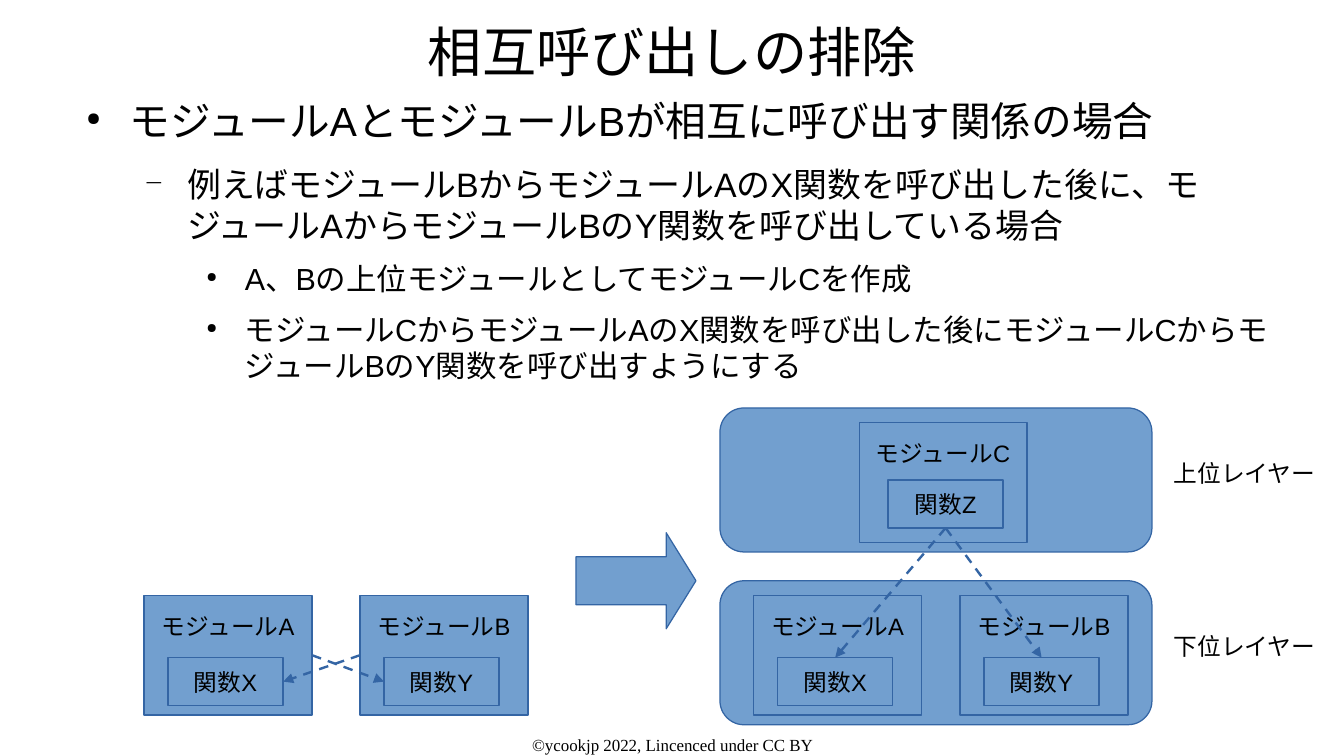
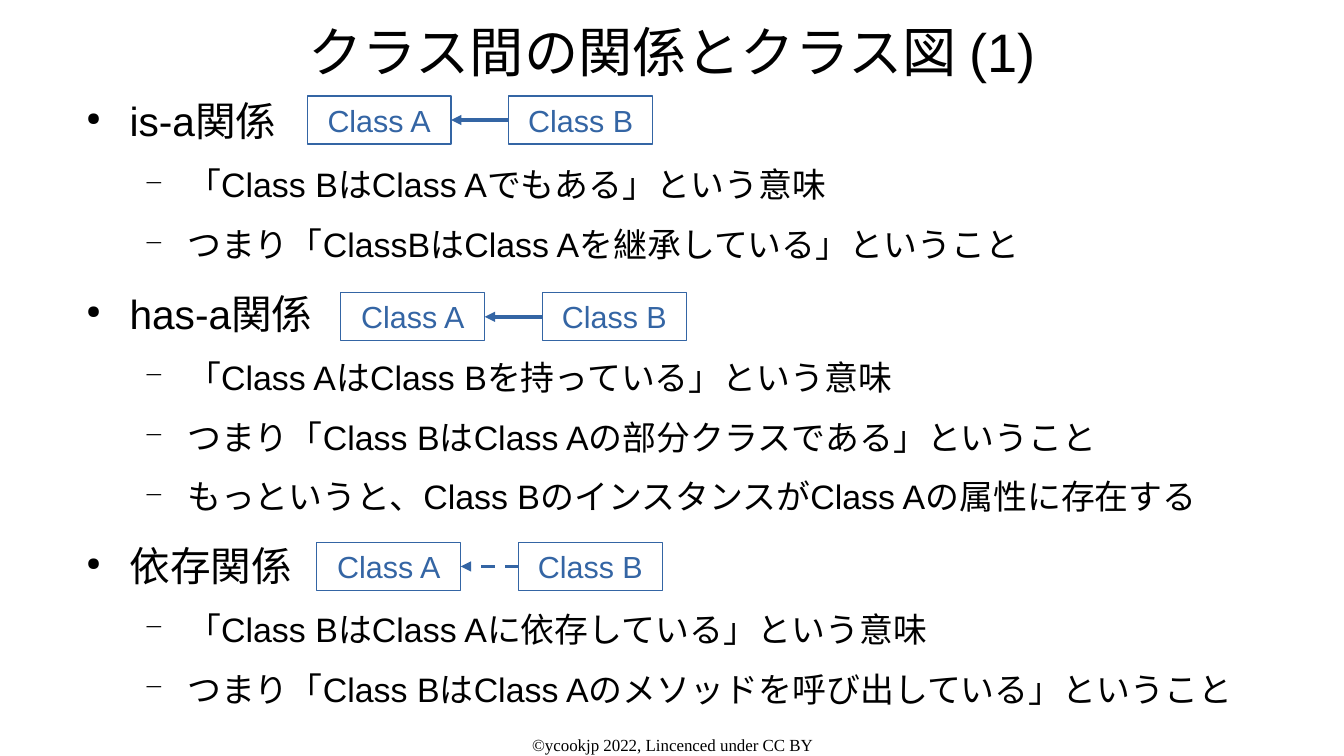
"""Build two slides on module calls and class relations."""
from lxml import etree
from pptx import Presentation
from pptx.dml.color import RGBColor
from pptx.enum.dml import MSO_LINE
from pptx.enum.shapes import MSO_CONNECTOR, MSO_SHAPE
from pptx.enum.text import MSO_ANCHOR, MSO_AUTO_SIZE, PP_ALIGN
from pptx.oxml.ns import qn
from pptx.util import Cm, Pt

RECT, ROUNDED, BLOCK_ARROW = MSO_SHAPE.RECTANGLE, MSO_SHAPE.ROUNDED_RECTANGLE, MSO_SHAPE.RIGHT_ARROW
STRAIGHT, DASH = MSO_CONNECTOR.STRAIGHT, MSO_LINE.DASH
CENTER, MIDDLE, TOP_ANCHOR = PP_ALIGN.CENTER, MSO_ANCHOR.MIDDLE, MSO_ANCHOR.TOP
NO_FIT = MSO_AUTO_SIZE.NONE
TOP, LEFT, BOTTOM, RIGHT = range(4)
BLUE, PALE_BLUE, BLACK = "3465A4", "729FCF", "000000"
FONT, FOOTER_FONT = "Arial", "Times New Roman"
FOOTER = "©ycookjp 2022, Lincenced under CC BY"
LEVELS = [
    {"size": 24, "before": 14.2, "margin": 1.2, "hang": 0.9, "char": "●", "percent": 45},
    {"size": 20, "before": 11.3, "margin": 2.4, "hang": 0.9, "char": "−", "percent": 75},
    {"size": 18, "before": 8.5, "margin": 3.6, "hang": 0.8, "char": "●", "percent": 45},
]
CONTENT = [
    ("相互呼び出しの排除", 6.5, [
        (0, "モジュールAとモジュールBが相互に呼び出す関係の場合"),
        (1, "例えばモジュールBからモジュールAのX関数を呼び出した後に、"
            "モジュールAからモジュールBのY関数を呼び出している場合"),
        (2, "A、Bの上位モジュールとしてモジュールCを作成"),
        (2, "モジュールCからモジュールAのX関数を呼び出した後に"
            "モジュールCからモジュールBのY関数を呼び出すようにする"),
    ]),
    ("クラス間の関係とクラス図 (1)", 13, [
        (0, "is-a関係"),
        (1, "「Class BはClass Aでもある」という意味"),
        (1, "つまり「ClassBはClass Aを継承している」ということ"),
        (0, "has-a関係"),
        (1, "「Class AはClass Bを持っている」という意味"),
        (1, "つまり「Class BはClass Aの部分クラスである」ということ"),
        (1, "もっというと、Class BのインスタンスがClass Aの属性に存在する"),
        (0, "依存関係"),
        (1, "「Class BはClass Aに依存している」という意味"),
        (1, "つまり「Class BはClass Aのメソッドを呼び出している」ということ"),
    ]),
]


def add_box(slide, form, left, top, width, height, text="", size=14, fill=PALE_BLUE, color=BLACK):
    """Add a thinly outlined shape with centred text."""
    box = slide.shapes.add_shape(form, Cm(left), Cm(top), Cm(width), Cm(height))
    box.shadow.inherit = False
    box.line.color.rgb = RGBColor.from_string(BLUE)
    box.line.width = 0
    if fill:
        box.fill.solid()
        box.fill.fore_color.rgb = RGBColor.from_string(fill)
    else:
        box.fill.background()
    if text:
        frame = box.text_frame
        frame.margin_left = frame.margin_right = 0
        frame.vertical_anchor = MIDDLE
        label = frame.paragraphs[0]
        label.text, label.alignment = text, CENTER
        label.font.name, label.font.size = FONT, Pt(size)
        label.font.color.rgb = RGBColor.from_string(color)
    return box


def add_arrow(slide, source, source_side, target, target_side, width, dash=None):
    """Join two boxes with a line that ends in an arrowhead."""
    arrow = slide.shapes.add_connector(STRAIGHT, 0, 0, 0, 0)
    arrow.begin_connect(source, source_side)
    arrow.end_connect(target, target_side)
    arrow.line.color.rgb = RGBColor.from_string(BLUE)
    arrow.line.width = Pt(width)
    if dash:
        arrow.line.dash_style = dash
    properties = arrow.element.spPr
    etree.SubElement(properties.find(qn("a:ln")), qn("a:tailEnd"), type="triangle")
    etree.SubElement(properties, qn("a:effectLst"))


prs = Presentation()
prs.slide_width, prs.slide_height = Cm(28), Cm(15.75)
title_only = prs.slide_layouts[5]

slides = []
for heading, body_height, points in CONTENT:
    slide = prs.slides.add_slide(title_only)
    slides.append(slide)
    title = slide.shapes.title
    title.left, title.top, title.width, title.height = Cm(1.4), Cm(0.25), Cm(25.2), Cm(1.63)
    title.text_frame.text = heading
    title.text_frame.vertical_anchor = MIDDLE
    body = slide.shapes.add_textbox(Cm(1.5), Cm(2), Cm(25.2), Cm(body_height))
    footer = slide.shapes.add_textbox(Cm(9.58), Cm(15.3), Cm(8.86), Cm(0.5 - 0.05))
    footer.text_frame.text = FOOTER
    for part in (title, body, footer):
        frame = part.text_frame
        frame.word_wrap, frame.auto_size = True, NO_FIT
        frame.margin_left = frame.margin_top = frame.margin_right = frame.margin_bottom = 0
    for part, font, size in ((title, FONT, 32), (footer, FOOTER_FONT, 10)):
        line = part.text_frame.paragraphs[0]
        line.alignment = CENTER
        line.font.name, line.font.size = font, Pt(size)
        line.font.color.rgb = RGBColor.from_string(BLACK)

    for index, (level, text) in enumerate(points):
        style = LEVELS[level]
        point = body.text_frame.add_paragraph() if index else body.text_frame.paragraphs[0]
        point.text, point.level = text, level
        bullet = point._p.get_or_add_pPr()
        bullet.set("marL", str(Cm(style["margin"])))
        bullet.set("indent", str(-Cm(style["hang"])))
        bullet_color = etree.SubElement(bullet, qn("a:buClr"))
        etree.SubElement(bullet_color, qn("a:srgbClr"), val=BLACK)
        etree.SubElement(bullet, qn("a:buSzPct"), val=str(style["percent"] * 1000))
        etree.SubElement(bullet, qn("a:buChar"), char=style["char"])
        point.space_before = Pt(style["before"])
        point.font.name, point.font.size = FONT, Pt(style["size"])
        point.font.color.rgb = RGBColor.from_string(BLACK)

calls_slide, classes_slide = slides

for layer, top in (("上位レイヤー", 8.5), ("下位レイヤー", 12.1)):
    add_box(calls_slide, ROUNDED, 15, top, 9, 3)
    caption = calls_slide.shapes.add_textbox(Cm(24.2), Cm(top + 0.94), Cm(3.8), Cm(0.97))
    caption.text_frame.word_wrap = True
    name = caption.text_frame.paragraphs[0]
    name.text = layer
    name.font.name, name.font.size = FONT, Pt(14)
    name.font.color.rgb = RGBColor.from_string(BLACK)

becomes = add_box(calls_slide, BLOCK_ARROW, 12, 11.1, 2.5, 2)
becomes.adjustments[1] = 0.31

modules, functions = [], []
for module, function, left, top, inset_x, inset_y in (
    ("A", "X", 3, 12.4, 0.5, 1.3),
    ("B", "Y", 7.5, 12.4, 0.5, 1.3),
    ("A", "X", 15.7, 12.4, 0.5, 1.3),
    ("B", "Y", 20, 12.4, 0.5, 1.3),
    ("C", "Z", 17.9, 8.8, 0.6, 1.2),
):
    module_box = add_box(calls_slide, RECT, left, top, 3.5, 2.5, f"モジュール{module}")
    module_box.text_frame.vertical_anchor = TOP_ANCHOR
    module_box.text_frame.margin_top = Cm(0.35)
    modules.append(module_box)
    functions.append(add_box(calls_slide, RECT, left + inset_x, top + inset_y, 2.4, 1, f"関数{function}"))

old_a, old_b = modules[:2]
old_x, old_y, new_x, new_y, upper_z = functions
for caller, caller_side, callee, callee_side in (
    (old_b, LEFT, old_x, RIGHT),
    (old_a, RIGHT, old_y, LEFT),
    (upper_z, BOTTOM, new_x, TOP),
    (upper_z, BOTTOM, new_y, TOP),
):
    add_arrow(calls_slide, caller, caller_side, callee, callee_side, 1.42, DASH)

for left, top, dash in ((6.4, 2, None), (7.1, 6.1, None), (6.6, 11.3, DASH)):
    class_a, class_b = (
        add_box(classes_slide, RECT, left + shift, top, 3, 1, text, 18, None, BLUE)
        for text, shift in (("Class A", 0), ("Class B", 4.2))
    )
    add_arrow(classes_slide, class_b, LEFT, class_a, RIGHT, 0, dash)

prs.save("out.pptx")
